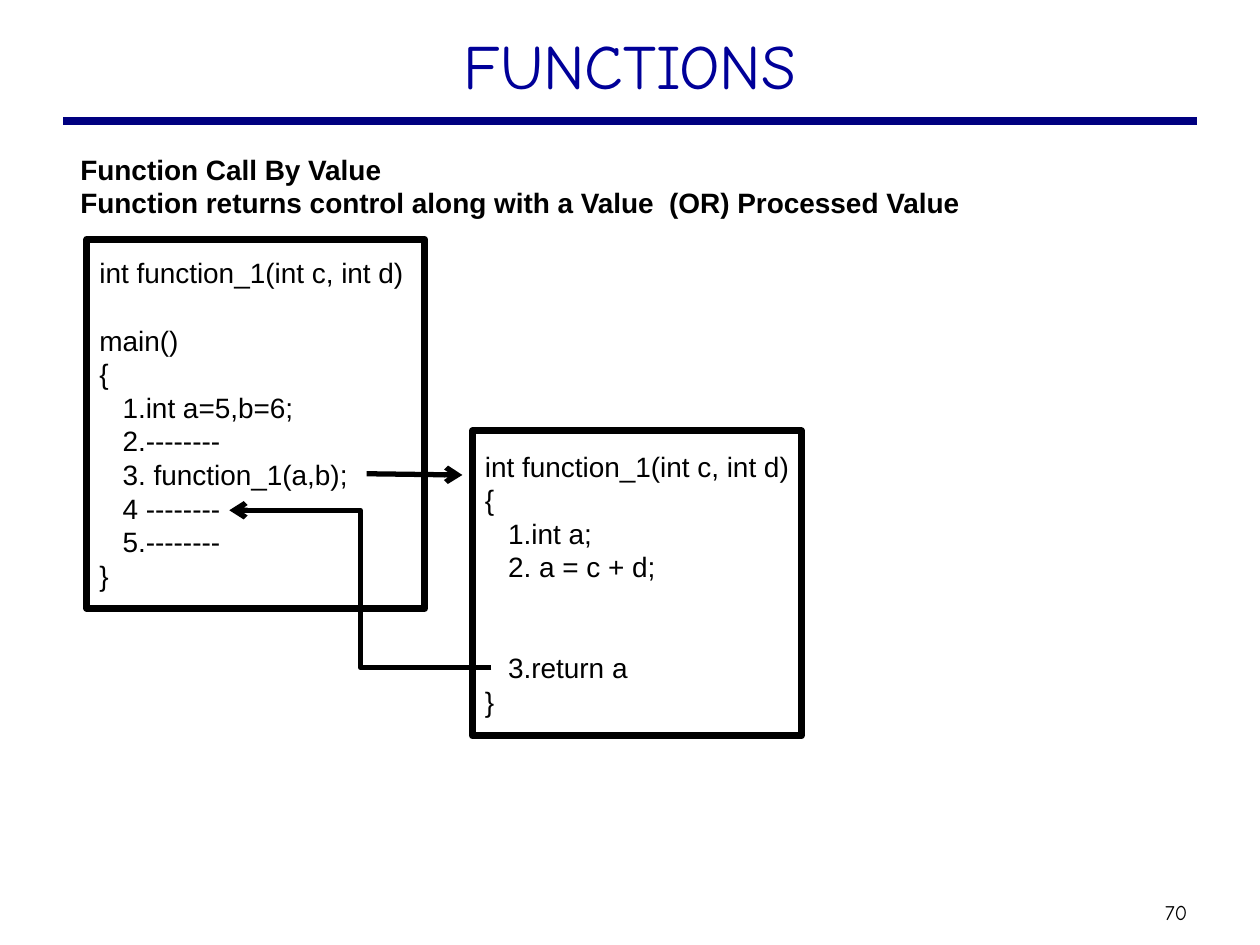
from lxml import etree
from pptx import Presentation, util as u
from pptx.dml.color import RGBColor
from pptx.enum import shapes, text
from pptx.oxml import ns

WIDE, HIGH = 10, 7.5
BLACK = RGBColor(0, 0, 0)
NAVY = RGBColor(0, 0, 0x80)
BLUE = RGBColor(0, 0, 0x99)
PITCH = 19.2

CALLER = """int function_1(int c, int d)

main()
{
   1.int a=5,b=6;
   2.--------
   3. function_1(a,b);
   4 --------
   5.--------
}"""

CALLED = """int function_1(int c, int d)
{
   1.int a;
   2. a = c + d;


   3.return a
}"""

HEAD = """Function Call By Value
Function returns control along with a Value  (OR) Processed Value"""


def place(*nums):
    """Turn inches into slide lengths."""
    return [u.Inches(n) for n in nums]


def write(shape, words, size=16, font="Arial", color=BLACK, bold=False,
          align=text.PP_ALIGN.LEFT, anchor=text.MSO_ANCHOR.TOP,
          wrap=True, pitch=None):
    """Fill a shape with lines of text; an empty line widens the gap."""
    frame = shape.text_frame
    frame.auto_size = text.MSO_AUTO_SIZE.NONE
    frame.word_wrap, frame.vertical_anchor = wrap, anchor
    frame.margin_left = frame.margin_right = u.Inches(0.1)
    frame.margin_top = frame.margin_bottom = u.Inches(0.05)
    para, gap = frame.paragraphs[0], 0
    for row, line in enumerate(words.split("\n")):
        if not line:
            gap += 1
            continue
        if row:
            para = frame.add_paragraph()
        para.alignment = align
        if pitch:
            para.line_spacing = u.Pt(pitch)
        if gap:
            para.space_before = u.Pt(gap * pitch)
        gap = 0
        run = para.add_run()
        run.text = line
        run.font.size, run.font.name = u.Pt(size), font
        run.font.bold, run.font.color.rgb = bold, color


def title(slide, words):
    """Move the title placeholder and fill it."""
    shape = slide.shapes.title
    shape.left, shape.top, shape.width, shape.height = place(0.75, 0.16, 8.5, 0.76)
    write(shape, words, size=36, font="Comic Neue", color=BLUE,
          align=text.PP_ALIGN.CENTER)


def label(slide, spot, words, **look):
    """Add a text box."""
    write(slide.shapes.add_textbox(*place(*spot)), words, **look)


def block(slide, spot, code):
    """Add a framed block of code."""
    shape = slide.shapes.add_shape(shapes.MSO_SHAPE.RECTANGLE, *place(*spot))
    shape.shadow.inherit = False
    shape.fill.background()
    shape.line.color.rgb, shape.line.width = BLACK, u.Pt(4)
    write(shape, code, anchor=text.MSO_ANCHOR.MIDDLE, wrap=False, pitch=PITCH)


def link(slide, start, end, kind=shapes.MSO_CONNECTOR.STRAIGHT,
         color=BLACK, width=3, arrow=True):
    """Draw a line from start to end, with an arrowhead if wanted."""
    line = slide.shapes.add_connector(kind, *place(*start, *end))
    line.line.color.rgb, line.line.width = color, u.Pt(width)
    if arrow:
        tail = etree.SubElement(line.line._get_or_add_ln(), ns.qn("a:tailEnd"))
        tail.set("type", "arrow")
    etree.SubElement(line._element.spPr, ns.qn("a:effectLst"))


def main():
    """Build the slide and save it."""
    deck = Presentation()
    deck.slide_width, deck.slide_height = place(WIDE, HIGH)
    slide = deck.slides.add_slide(deck.slide_layouts[5])
    title(slide, "FUNCTIONS")
    link(slide, (0.05 * WIDE, 0.96), (0.95 * WIDE, 0.96),
         color=NAVY, width=4.5, arrow=False)
    label(slide, (0.54, 1.16, 8.93, 0.7), HEAD, bold=True, pitch=PITCH)
    block(slide, (0.69, 1.9, 2.68, 2.93), CALLER)
    block(slide, (3.75, 3.42, 2.61, 2.42), CALLED)
    link(slide, (2.91, 3.76), (3.67, 3.77))
    link(slide, (3.9, 5.3), (1.82, 4.05), kind=shapes.MSO_CONNECTOR.ELBOW)
    label(slide, (9.1, 7.09, 0.47, 0.3), "70", size=12, font="Comic Neue",
          align=text.PP_ALIGN.CENTER, anchor=text.MSO_ANCHOR.MIDDLE)
    deck.save("out.pptx")


if __name__ == "__main__":
    main()
